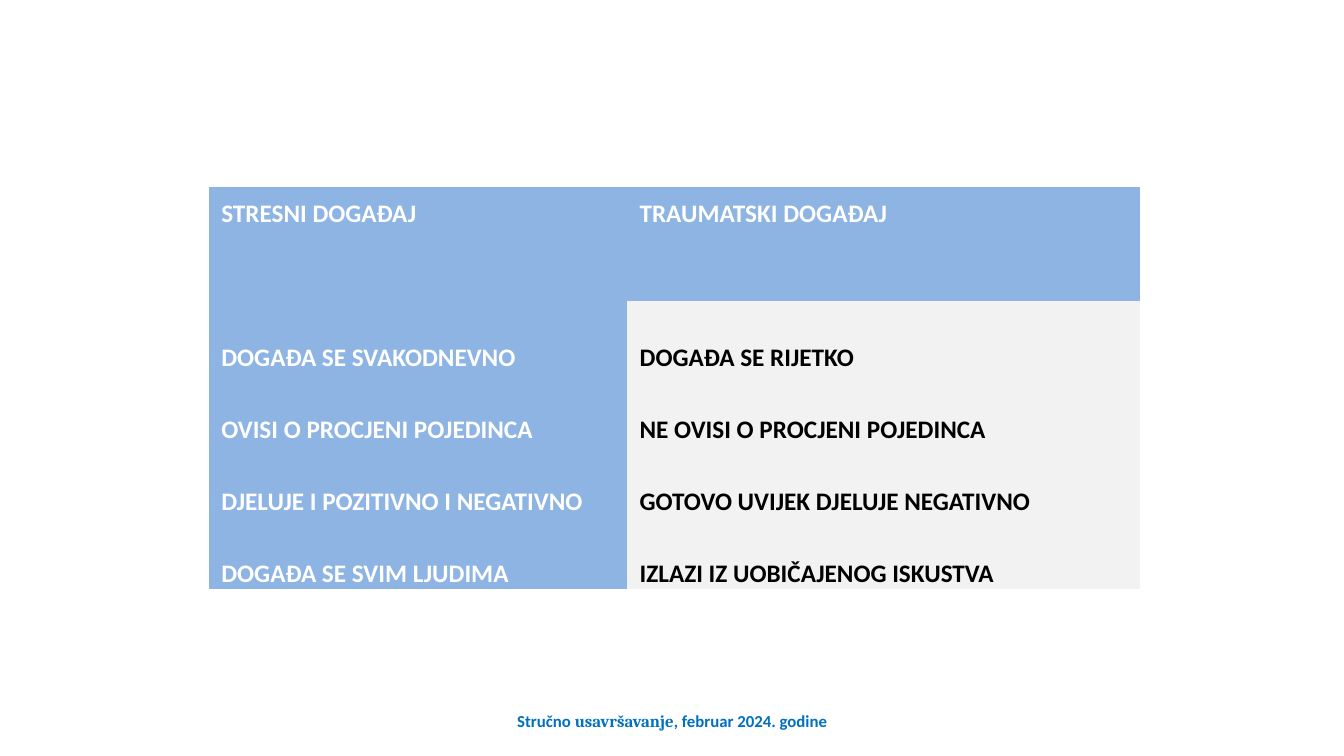
from dataclasses import dataclass

from pptx import Presentation
from pptx.dml.color import RGBColor
from pptx.enum.text import MSO_ANCHOR, PP_ALIGN
from pptx.util import Pt

MIDDLE, BOTTOM = MSO_ANCHOR.MIDDLE, MSO_ANCHOR.BOTTOM
CENTER = PP_ALIGN.CENTER
BLANK_LAYOUT = 6
NO_GRID_STYLE = "{2D5ABB26-0587-4C30-8999-92F81FD0307C}"


@dataclass(frozen=True)
class Theme:
    body_font: str = "Calibri"
    accent_font: str = "Cambria"
    table_size: float = 18
    footer_size: float = 12
    blue: str = "8DB4E3"
    grey: str = "F2F2F2"
    white: str = "FFFFFF"
    black: str = "000000"
    footer_blue: str = "0070C0"


class SlideBuilder:
    def __init__(self, slide, theme):
        self.slide = slide
        self.theme = theme

    def add_run(self, paragraph, text, size, color, font_name):
        run = paragraph.add_run()
        run.text = text
        run.font.name = font_name
        run.font.size = Pt(size)
        run.font.bold = True
        run.font.color.rgb = RGBColor.from_string(color)

    def add_footer(self, left, top, width, height, pieces):
        """Add a centred line from (text, font name) pieces."""
        footer = self.slide.shapes.add_textbox(Pt(left), Pt(top), Pt(width), Pt(height))
        frame = footer.text_frame
        frame.word_wrap = True
        frame.vertical_anchor = MIDDLE
        line = frame.paragraphs[0]
        line.alignment = CENTER
        for text, font_name in pieces:
            self.add_run(line, text, self.theme.footer_size, self.theme.footer_blue, font_name)

    def fill_cell(self, cell, text, fill, color):
        cell.fill.solid()
        cell.fill.fore_color.rgb = RGBColor.from_string(fill)
        cell.vertical_anchor = BOTTOM
        cell.margin_left = Pt(8.8)
        cell.margin_top = cell.margin_right = Pt(0.7)
        cell.margin_bottom = Pt(0)
        if text:
            self.add_run(cell.text_frame.paragraphs[0], text,
                         self.theme.table_size, color, self.theme.body_font)

    def add_comparison(self, left, top, widths, heights, rows, header_rows):
        """Add a table whose header rows and first column are blue."""
        theme = self.theme
        table = self.slide.shapes.add_table(
            len(rows), len(widths), Pt(left), Pt(top),
            Pt(sum(widths)), Pt(sum(heights))).table
        table.horz_banding = False
        table._tbl.tblPr[0].text = NO_GRID_STYLE
        for column, width in zip(table.columns, widths):
            column.width = Pt(width)
        for row, height in zip(table.rows, heights):
            row.height = Pt(height)
        for r, texts in enumerate(rows):
            for c, text in enumerate(texts):
                is_blue = r < header_rows or c == 0
                fill, color = (theme.blue, theme.white) if is_blue else (theme.grey, theme.black)
                self.fill_cell(table.cell(r, c), text, fill, color)


def main():
    presentation = Presentation()
    presentation.slide_width, presentation.slide_height = Pt(960), Pt(540)
    slide = presentation.slides.add_slide(presentation.slide_layouts[BLANK_LAYOUT])
    theme = Theme()
    builder = SlideBuilder(slide, theme)

    builder.add_footer(318.2, 500.4, 324, 28.8, [
        ("Stručno ", theme.body_font),
        ("usavršavanje", theme.accent_font),
        (", februar 2024. godine", theme.body_font),
    ])

    comparison = [
        ("STRESNI DOGAĐAJ", "TRAUMATSKI DOGAĐAJ"),
        ("", ""),
        ("DOGAĐA SE SVAKODNEVNO", "DOGAĐA SE RIJETKO"),
        ("OVISI O PROCJENI POJEDINCA", "NE OVISI O PROCJENI POJEDINCA"),
        ("DJELUJE I POZITIVNO I NEGATIVNO", "GOTOVO UVIJEK DJELUJE NEGATIVNO"),
        ("DOGAĐA SE SVIM LJUDIMA", "IZLAZI IZ UOBIČAJENOG ISKUSTVA"),
    ]
    heights = [30] + [51.5] * (len(comparison) - 1)
    builder.add_comparison(149.3, 133.5, [298.8, 366.5], heights, comparison, header_rows=2)

    presentation.save("out.pptx")


if __name__ == "__main__":
    main()
